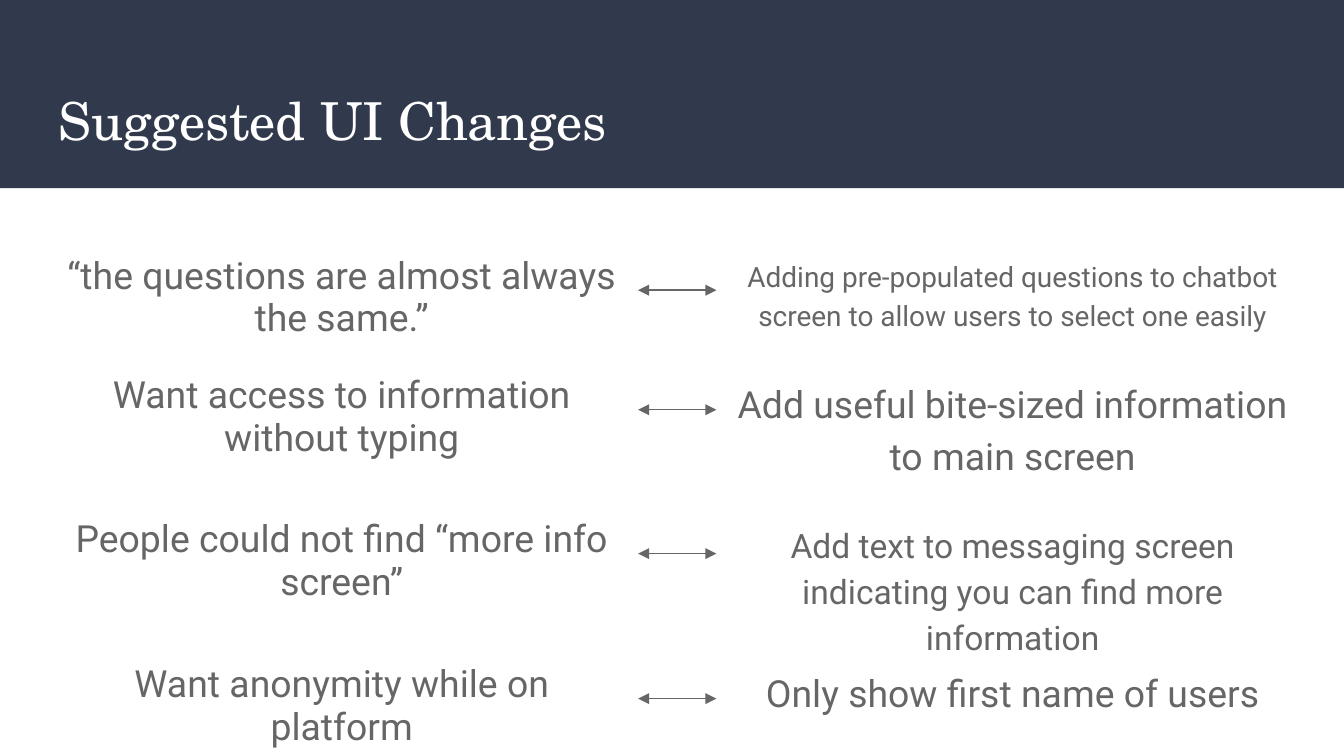
from dataclasses import dataclass

from lxml.etree import SubElement as Sub
from pptx import Presentation
from pptx.dml.color import RGBColor as Rgb
from pptx.enum.shapes import MSO_CONNECTOR as Link, MSO_SHAPE as Form
from pptx.enum.text import MSO_ANCHOR as Anchor, MSO_AUTO_SIZE as Fit, PP_ALIGN as Align
from pptx.oxml.ns import qn
from pptx.shapes.autoshape import Shape
from pptx.slide import Slide
from pptx.util import Cm, Pt

HUES = {"band": "31394D", "title": "FFFFFF", "text": "666666"}
WIDE, HIGH = 25.4, 14.29
LEFT, RIGHT = 0.86, 13.54
CELL_W, CELL_H = 11.2, 1.83
FRAME = {
    "word_wrap": True,
    "auto_size": Fit.NONE,
    "margin_left": Cm(0.25),
    "margin_right": Cm(0.25),
    "margin_top": Cm(0.25),
    "margin_bottom": Cm(0.25),
}


@dataclass
class Box:
    left: float
    top: float
    width: float
    height: float


@dataclass
class Pair:
    top: float
    need: str
    change: str
    size: int = 20


PAIRS = [
    Pair(4.57, "“the questions are almost always the same.”",
         "Adding pre-populated questions to chatbot screen to allow users to select one easily", 15),
    Pair(6.83, "Want access to information without typing",
         "Add useful bite-sized information to main screen"),
    Pair(9.55, "People could not find “more info screen”",
         "Add text to messaging screen indicating you can find more information", 18),
    Pair(12.29, "Want anonymity while on platform",
         "Only show first name of users"),
]


def apply(item: object, values: dict) -> None:
    for key, value in values.items():
        setattr(item, key, value)


def hue(name: str) -> Rgb:
    return Rgb.from_string(HUES[name])


def area(box: Box) -> list[Cm]:
    return [Cm(n) for n in (box.left, box.top, box.width, box.height)]


def add_band(slide: Slide) -> None:
    band = slide.shapes.add_shape(Form.RECTANGLE, *area(Box(0, 0, WIDE, 3.56)))
    band.shadow.inherit = False
    band.fill.solid()
    band.fill.fore_color.rgb = hue("band")
    band.line.fill.background()


def add_text(slide: Slide, box: Box, text: str, face: str, size: int,
             tint: str, anchor: Anchor, para: dict) -> Shape:
    shape = slide.shapes.add_textbox(*area(box))
    frame = shape.text_frame
    apply(frame, FRAME | {"vertical_anchor": anchor})
    line = frame.paragraphs[0]
    line.text = text
    apply(line, para)
    font = line.runs[0].font
    apply(font, {"name": face, "size": Pt(size)})
    font.color.rgb = hue(tint)
    return shape


def add_cell(slide: Slide, left: float, top: float, text: str,
             size: int, space: float) -> Shape:
    para = {"alignment": Align.CENTER, "line_spacing": space, "space_after": Pt(12)}
    return add_text(slide, Box(left, top, CELL_W, CELL_H), text, "Roboto",
                    size, "text", Anchor.TOP, para)


def add_arrow(slide: Slide, start: Shape, end: Shape) -> None:
    arrow = slide.shapes.add_connector(Link.STRAIGHT, 0, 0, 0, 0)
    arrow.begin_connect(start, 3)
    arrow.end_connect(end, 1)
    arrow.line.color.rgb = hue("text")
    arrow.line.width = Pt(0.75)
    props = arrow._element.spPr
    for tag in ("a:headEnd", "a:tailEnd"):
        Sub(props.find(qn("a:ln")), qn(tag), type="triangle")
    Sub(props, qn("a:effectLst"))


def add_pair(slide: Slide, pair: Pair) -> None:
    need = add_cell(slide, LEFT, pair.top, pair.need, 20, 0.95)
    change = add_cell(slide, RIGHT, pair.top, pair.change, pair.size, 1.15)
    add_arrow(slide, need, change)


def main() -> None:
    deck = Presentation()
    apply(deck, {"slide_width": Cm(WIDE), "slide_height": Cm(HIGH)})
    slide = deck.slides.add_slide(deck.slide_layouts[6])
    add_band(slide)
    add_text(slide, Box(LEFT, 1.4, WIDE - 2 * LEFT, 1.73), "Suggested UI Changes",
             "TeX Gyre Schola", 28, "title", Anchor.MIDDLE, {"alignment": Align.LEFT})
    for pair in PAIRS:
        add_pair(slide, pair)
    deck.save("out.pptx")


if __name__ == "__main__":
    main()
